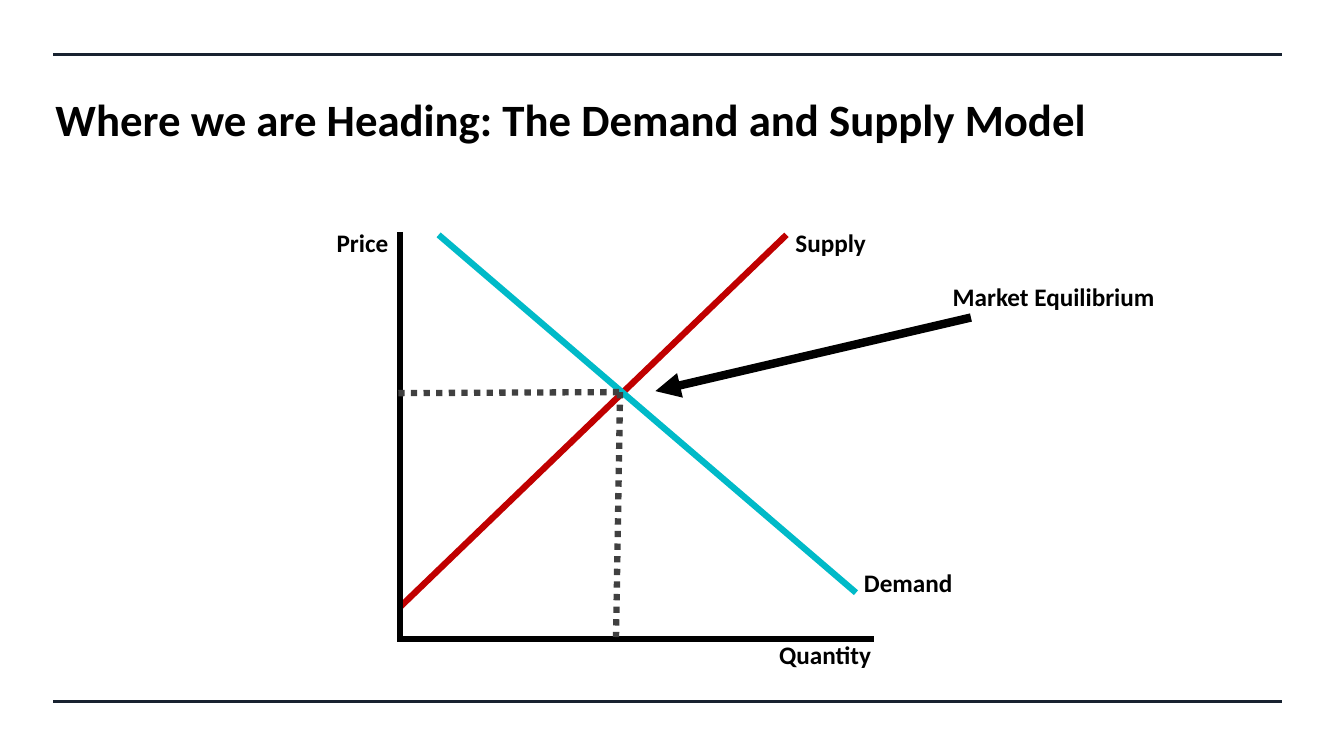
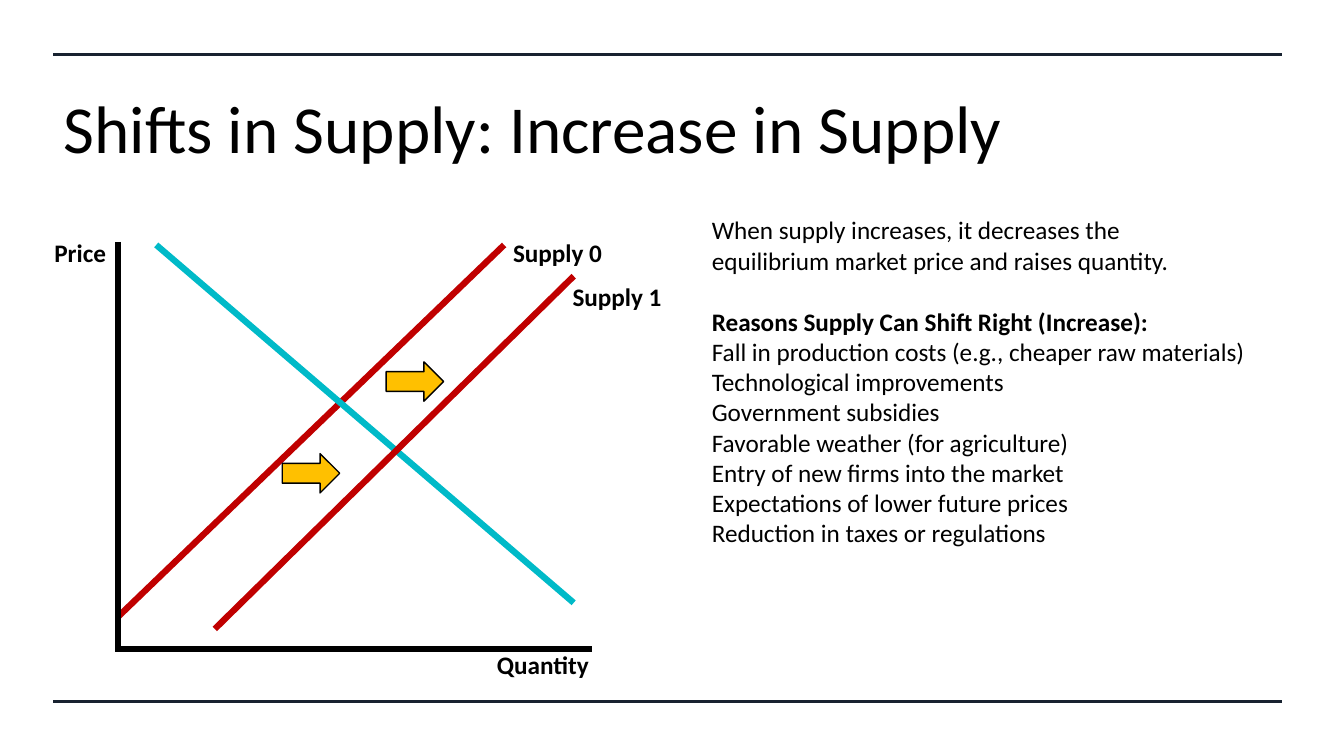
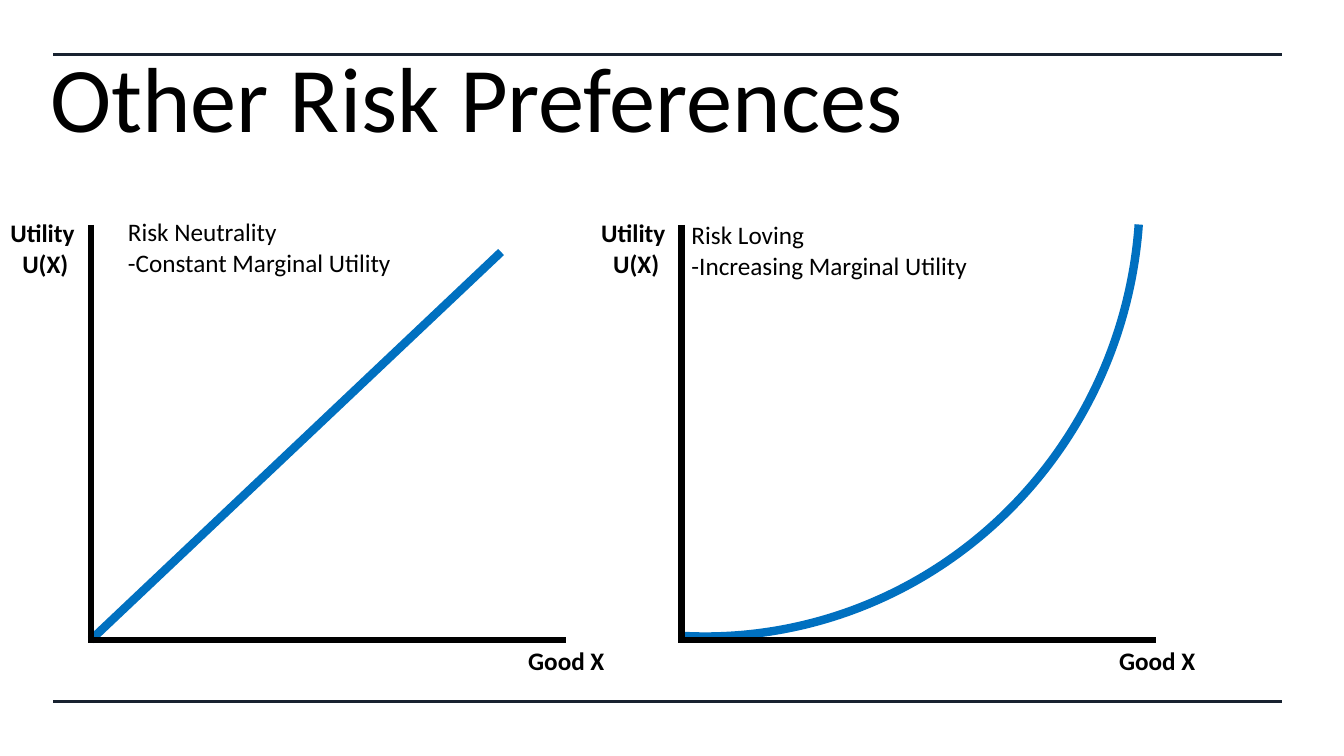
from lxml import etree
from pptx import Presentation
from pptx import util as u
from pptx.dml.color import RGBColor
from pptx.enum import dml, shapes, text
from pptx.oxml.ns import qn

COLORS = {
    "text": "000000",
    "rule": "182230",
    "supply": "C00000",
    "demand": "00BAC8",
    "guide": "404040",
    "shift": "FFC000",
    "utility": "0070C0",
}
TITLE_ONLY, TITLE_AND_BODY = 5, 1


class Deck:
    font = "Calibri"
    text_size = 18

    def __init__(self):
        self.presentation = Presentation()
        self.presentation.slide_width = u.Inches(13.33)
        self.presentation.slide_height = u.Inches(7.5)
        self.slide = None

    def start_slide(self, title, left, top, width, height, size, bold=False, layout=TITLE_ONLY):
        """Add a slide with the shared rules and a title."""
        layouts = self.presentation.slide_layouts
        self.slide = self.presentation.slides.add_slide(layouts[layout])
        for y in (0.54, 6.96):
            self.line((0.53, y), (12.72, y), "rule", 2.25)
        placeholder = self.slide.shapes.title
        self.place(placeholder, left, top, width, height)
        frame = placeholder.text_frame
        frame.text = title
        frame.vertical_anchor = text.MSO_ANCHOR.MIDDLE
        frame.auto_size = text.MSO_AUTO_SIZE.NONE
        self.style(frame.paragraphs[0], size, bold)

    def place(self, shape, left, top, width, height):
        shape.left, shape.top = u.Inches(left), u.Inches(top)
        shape.width, shape.height = u.Inches(width), u.Inches(height)

    def style(self, paragraph, size, bold=False, align=text.PP_ALIGN.LEFT):
        paragraph.alignment = align
        paragraph.font.name = self.font
        paragraph.font.size = u.Pt(size)
        paragraph.font.bold = bold
        paragraph.font.color.rgb = RGBColor.from_string(COLORS["text"])

    def stroke(self, shape, color, weight):
        shape.line.color.rgb = RGBColor.from_string(COLORS[color])
        shape.line.width = u.Pt(weight)

    def line(self, start, end, color, weight, dash=None, arrow=False):
        points = [u.Inches(value) for value in (*start, *end)]
        connector = self.slide.shapes.add_connector(shapes.MSO_CONNECTOR.STRAIGHT, *points)
        self.stroke(connector, color, weight)
        if dash:
            connector.line.dash_style = dash
        properties = connector._element.spPr
        if arrow:
            etree.SubElement(properties.find(qn("a:ln")), qn("a:tailEnd"), type="triangle")
        etree.SubElement(properties, qn("a:effectLst"))

    def axes(self, x, y, width, height):
        """Draw both axes as one outline with its corner at x, y."""
        builder = self.slide.shapes.build_freeform(u.Inches(x), u.Inches(y - height))
        corners = [(x, y), (x + width, y)]
        builder.add_line_segments([(u.Inches(a), u.Inches(b)) for a, b in corners], close=False)
        outline = builder.convert_to_shape()
        outline.shadow.inherit = False
        outline.fill.background()
        self.stroke(outline, "text", 4.5)
        etree.SubElement(outline._element.spPr.find(qn("a:ln")), qn("a:miter"), lim="800000")

    def shape(self, kind, left, top, width, height, line, weight, fill=None):
        shape = self.slide.shapes.add_shape(kind, 0, 0, 0, 0)
        self.place(shape, left, top, width, height)
        shape.shadow.inherit = False
        if fill:
            shape.fill.solid()
            shape.fill.fore_color.rgb = RGBColor.from_string(COLORS[fill])
        else:
            shape.fill.background()
        self.stroke(shape, line, weight)
        return shape

    def label(self, words, left, top, width, height=0.4, bold=True, align=text.PP_ALIGN.LEFT):
        box = self.slide.shapes.add_textbox(0, 0, 0, 0)
        self.place(box, left, top, width, height)
        frame = box.text_frame
        frame.text = words
        frame.word_wrap = False
        frame.auto_size = text.MSO_AUTO_SIZE.SHAPE_TO_FIT_TEXT
        self.style(frame.paragraphs[0], self.text_size, bold, align)

    def body(self, intro, heading, items, left, top, width, height):
        """Fill the body placeholder with an intro, a bold heading and plain lines."""
        placeholder = self.slide.placeholders[1]
        self.place(placeholder, left, top, width, height)
        frame = placeholder.text_frame
        frame.text = "\n".join([intro, heading, *items])
        frame.auto_size = text.MSO_AUTO_SIZE.NONE
        for paragraph in frame.paragraphs:
            is_heading = paragraph.text == heading
            properties = paragraph._p.get_or_add_pPr()
            properties.set("marL", "0")
            properties.set("indent", "0")
            etree.SubElement(properties, qn("a:buNone"))
            paragraph.space_before = u.Pt(22 if is_heading else 0)
            self.style(paragraph, self.text_size, is_heading)


def market_diagram(deck, x, y, supply_name):
    """Draw supply and demand on axes with their corner at x, y."""
    deck.line((x, y - 0.32), (x + 3.83, y - 4.01), "supply", 4.5)
    deck.axes(x, y, 4.7, 4.04)
    deck.label("Price", x - 0.73, y - 4.13, 0.79)
    deck.label("Quantity", x + 3.66, y - 0.05, 1.23)
    deck.label(supply_name, x + 3.82, y - 4.13, 0.91 if supply_name == "Supply" else 1.19)
    deck.line((x + 0.38, y - 4.01), (x + 4.52, y - 0.46), "demand", 4.5)


def utility_axes(deck, x):
    deck.axes(x, 6.35, 4.71, 4.12)
    deck.label("Good X", x + 4.24, 6.35, 1.05)
    deck.label("Utility \vU(X)", x - 0.9, 2.11, 0.9, 0.71, align=text.PP_ALIGN.CENTER)


def model_slide(deck):
    deck.start_slide("Where we are Heading: The Demand and Supply Model",
                     0.45, 0.57, 11.63, 1.22, 32, bold=True)
    market_diagram(deck, 3.97, 6.34, "Supply")
    deck.label("Demand", 8.47, 5.58, 1.16)
    equilibrium = (6.15, 3.89)
    for start, end in (((3.95, 3.9), equilibrium), (equilibrium, (6.11, 6.32))):
        deck.line(start, end, "guide", 4.5, dash=dml.MSO_LINE.ROUND_DOT)
    deck.line((9.63, 3.15), (6.5, 3.88), "text", 6, arrow=True)
    deck.label("Market Equilibrium", 9.35, 2.74, 2.44)


def supply_shift_slide(deck):
    deck.start_slide("Shifts in Supply: Increase in Supply",
                     0.53, 0.65, 11.63, 1.22, 48, layout=TITLE_AND_BODY)
    market_diagram(deck, 1.17, 6.44, "Supply 0")
    deck.line((2.13, 6.24), (5.69, 2.74), "supply", 4.5)
    deck.label("Supply 1", 5.58, 2.74, 1.19)
    for left, top in ((3.83, 3.59), (2.8, 4.5)):
        deck.shape(shapes.MSO_SHAPE.RIGHT_ARROW, left, top, 0.57, 0.39, "text", 1, fill="shift")
    reasons = [
        "Fall in production costs (e.g., cheaper raw materials)",
        "Technological improvements",
        "Government subsidies",
        "Favorable weather (for agriculture)",
        "Entry of new firms into the market",
        "Expectations of lower future prices",
        "Reduction in taxes or regulations",
    ]
    deck.body("When supply increases, it decreases the\vequilibrium market price and raises quantity.",
              "Reasons Supply Can Shift Right (Increase):", reasons, 6.96, 2.08, 5.9, 3.74)


def risk_slide(deck):
    deck.start_slide("Other Risk Preferences", 0.4, 0.44, 11.08, 1.01, 66)
    curve = deck.shape(shapes.MSO_SHAPE.ARC, 2.61, -2.38, 8.79, 8.6, "utility", 6)
    curve.rotation = 93.3
    curve.adjustments[0] = 162.48  # begins the arc level with the axis top
    deck.line((0.9, 6.35), (4.97, 2.5), "utility", 6)
    for x in (0.9, 6.76):
        utility_axes(deck, x)
    deck.label("Risk Neutrality\v-Constant Marginal Utility", 1.17, 2.1, 3.11, 0.71, bold=False)
    deck.label("Risk Loving\v-Increasing Marginal Utility", 6.76, 2.13, 3.22, 0.71, bold=False)


def main():
    deck = Deck()
    model_slide(deck)
    supply_shift_slide(deck)
    risk_slide(deck)
    deck.presentation.save("out.pptx")


if __name__ == "__main__":
    main()
